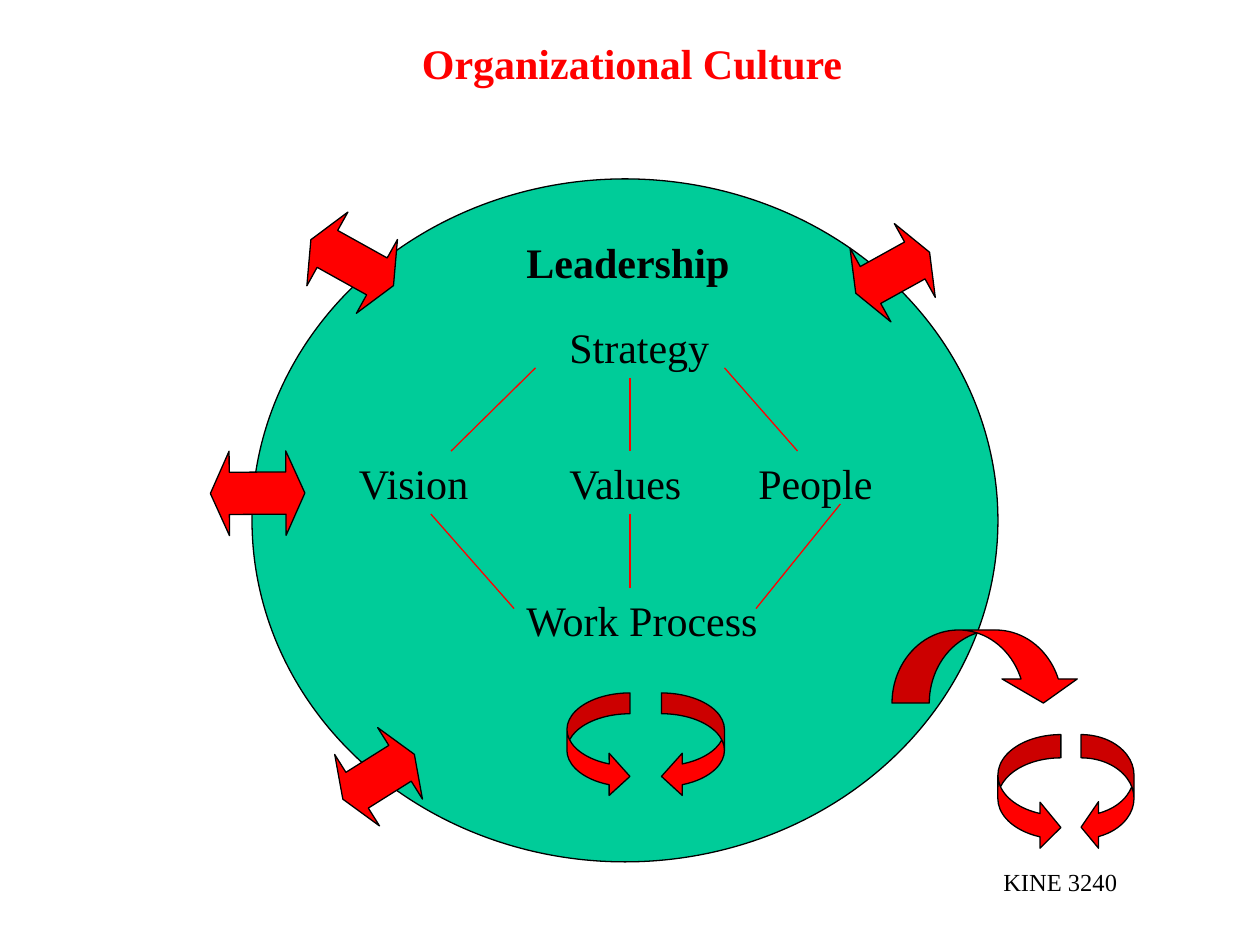
import pptx
import pptx.util
import pptx.dml.color
import pptx.enum.shapes
import pptx.enum.text
import pptx.oxml.ns
import lxml.etree

Inches, Pt = pptx.util.Inches, pptx.util.Pt
MSO = pptx.enum.shapes.MSO_SHAPE
ALIGN = pptx.enum.text.PP_ALIGN

THEME = {
    "font": "Times New Roman", "body": 24, "footer": 14, "line": 0.75,
    "ink": "000000", "accent": "FF0000", "circle": "00CC99",
}

# Content: text, (left, top, width), format
TEXTS = [
    ("KINE 3240", (7.58, 6.83, 1.67), {"size": THEME["footer"], "align": ALIGN.CENTER}),
    ("Organizational Culture", (3.25, 0.25, 3.92), {"color": THEME["accent"], "bold": True}),
    ("Leadership", (4.08, 1.83, 2.08), {"bold": True}),
    ("Strategy", (4.42, 2.5, 1.42), {}),
    ("Vision", (2.75, 3.58, 2.17), {}),
    ("Values", (4.42, 3.58, 1.25), {}),
    ("People", (5.92, 3.58, 1.67), {}),
    ("Work Process", (4.08, 4.67, 2.17), {}),
]
TEXT_HEIGHT = 0.5

# Kind, (left, top, width, height), adjustments
CURVED_ARROWS = [
    (MSO.CURVED_RIGHT_ARROW, (4.5, 5.5, 0.5, 0.83), (0.33, 0.67, 0.33)),
    (MSO.CURVED_LEFT_ARROW, (5.25, 5.5, 0.5, 0.83), (0.33, 0.67, 0.33)),
    (MSO.CURVED_DOWN_ARROW, (7.08, 5, 1.5, 0.58), (0.51, 1.03, 0.33)),
    (MSO.CURVED_RIGHT_ARROW, (7.92, 5.83, 0.5, 0.92), (0.37, 0.73, 0.33)),
    (MSO.CURVED_LEFT_ARROW, (8.58, 5.83, 0.42, 0.92), (0.44, 0.88, 0.33)),
]

# Two-way arrows across the circle's edge: (left, top, width), rotation
EDGE_ARROWS = [
    ((2.42, 1.75, 0.75), 29.1),
    ((2.67, 5.83, 0.67), 327.9),
    ((6.75, 1.83, 0.67), 331),
    ((1.67, 3.58, 0.75), 359.7),
]
EDGE_HEIGHT = 0.67
EDGE_HEAD = 0.15  # length of each arrowhead

# Links between the terms: start, end
LINKS = [
    ((4.25, 2.92), (3.58, 3.58)),
    ((3.42, 4.08), (4.08, 4.83)),
    ((5.75, 2.92), (6.33, 3.58)),
    ((5, 3), (5, 3.58)),
    ((5, 4.08), (5, 4.67)),
    ((6, 4.83), (6.67, 4)),
]


def rgb(color):
    return pptx.dml.color.RGBColor.from_string(color)


def add_text(slide, text, box, size=THEME["body"], color=THEME["ink"],
             bold=False, align=ALIGN.LEFT):
    sp = slide.shapes.add_textbox(*map(Inches, box))
    tf = sp.text_frame
    tf.word_wrap = True
    p = tf.paragraphs[0]
    p.alignment = align
    r = p.add_run()
    r.text = text
    r.font.name, r.font.size, r.font.bold = THEME["font"], Pt(size), bold
    r.font.color.rgb = rgb(color)


def add_outlined(slide, kind, box, fill, adjustments=(), rotation=0):
    sp = slide.shapes.add_shape(kind, *map(Inches, box))
    sp.shadow.inherit = False
    sp.fill.solid()
    sp.fill.fore_color.rgb = rgb(fill)
    sp.line.color.rgb = rgb(THEME["ink"])
    sp.line.width = Pt(THEME["line"])
    sp.rotation = rotation
    for i, value in enumerate(adjustments):
        sp.adjustments[i] = value


def add_link(slide, start, end):
    sp = slide.shapes.add_connector(
        pptx.enum.shapes.MSO_CONNECTOR.STRAIGHT, *map(Inches, start + end))
    sp.line.color.rgb = rgb(THEME["accent"])
    sp.line.width = Pt(THEME["line"])
    lxml.etree.SubElement(sp.element.spPr, pptx.oxml.ns.qn("a:effectLst"))


def main():
    prs = pptx.Presentation()
    prs.slide_width, prs.slide_height = Inches(10), Inches(7.5)
    slide = prs.slides.add_slide(prs.slide_layouts[6])

    # Culture circle
    add_outlined(slide, MSO.OVAL, (2, 1.42, 5.92, 5.42), THEME["circle"])

    # Title, terms and footer
    for text, box, style in TEXTS:
        add_text(slide, text, box + (TEXT_HEIGHT,), **style)

    # Cycle arrows
    for kind, box, adjustments in CURVED_ARROWS:
        add_outlined(slide, kind, box, THEME["accent"], adjustments)

    # Arrows across the edge
    for box, rotation in EDGE_ARROWS:
        add_outlined(slide, MSO.LEFT_RIGHT_ARROW, box + (EDGE_HEIGHT,), THEME["accent"],
                     (0.5, EDGE_HEAD / EDGE_HEIGHT if box[2] > 0.7 else 0.2), rotation)

    # Links between terms
    for start, end in LINKS:
        add_link(slide, start, end)

    prs.save("out.pptx")


if __name__ == "__main__":
    main()
